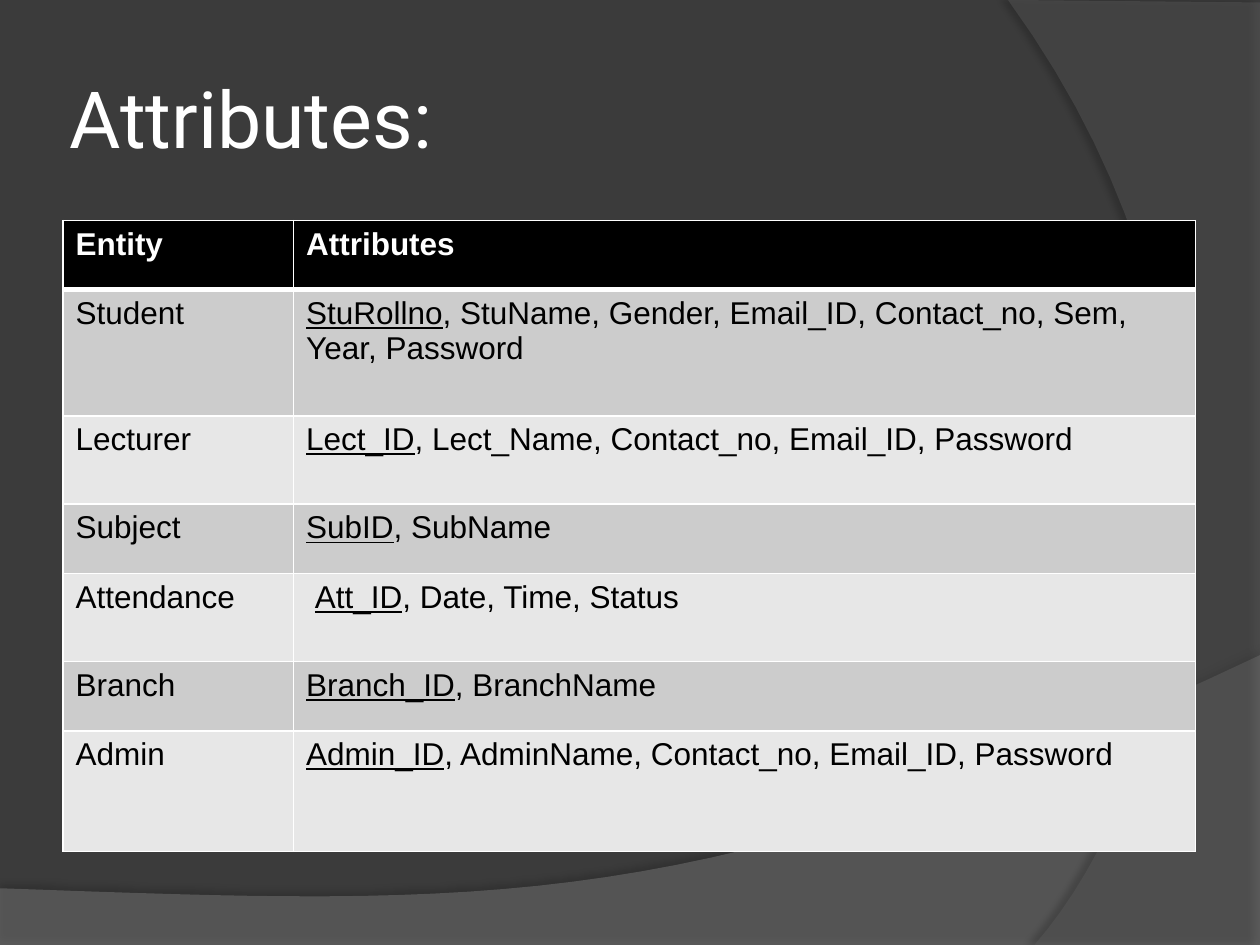
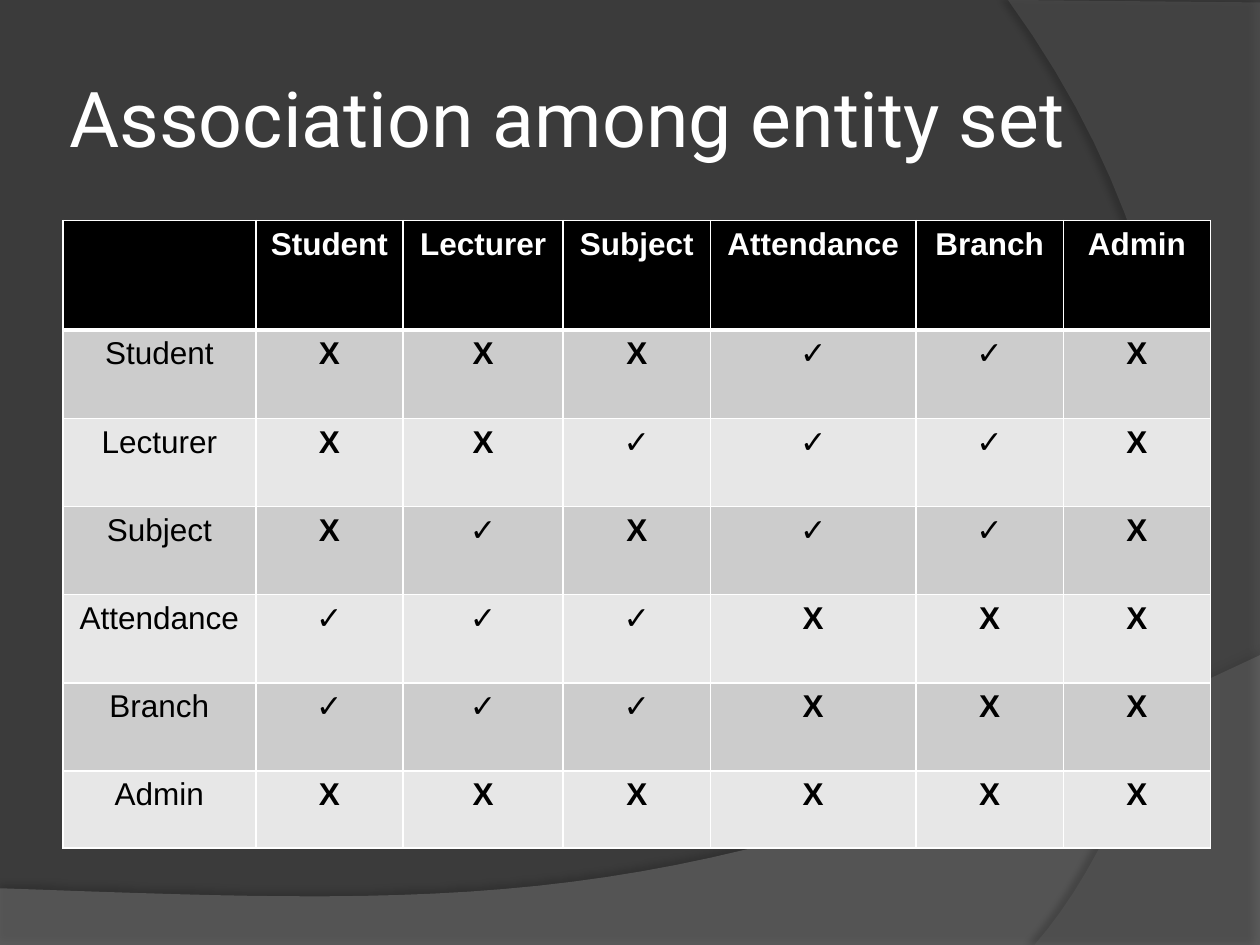
from dataclasses import dataclass

from lxml import etree
from pptx import Presentation
from pptx.dml.color import RGBColor
from pptx.enum.text import MSO_ANCHOR, MSO_AUTO_SIZE, PP_ALIGN
from pptx.oxml.ns import qn
from pptx.util import Inches, Pt

LEFT, CENTER = PP_ALIGN.LEFT, PP_ALIGN.CENTER
MIDDLE = MSO_ANCHOR.MIDDLE
NO_AUTOFIT = MSO_AUTO_SIZE.NONE
TITLE_ONLY = 5


@dataclass(frozen=True)
class Theme:
    background: str = "3B3B3B"
    lower_band: str = "7F7F7F"
    right_band: str = "5E5E5E"
    shadow: str = "000000"
    header: str = "000000"
    odd_row: str = "CCCCCC"
    even_row: str = "E7E7E7"
    light: str = "FFFFFF"
    dark: str = "000000"
    title_font: str = "Roboto"
    table_font: str = "Arial"
    table_size: int = 18
    grid_width: int = 1
    header_rule: int = 3


THEME = Theme()

# Each entity: key attribute, then the remaining attributes
ENTITIES = [
    ("Student", "StuRollno", ", StuName, Gender, Email_ID, Contact_no, Sem, Year, Password"),
    ("Lecturer", "Lect_ID", ", Lect_Name, Contact_no, Email_ID, Password"),
    ("Subject", "SubID", ", SubName"),
    ("Attendance", "Att_ID", ", Date, Time, Status"),
    ("Branch", "Branch_ID", ", BranchName"),
    ("Admin", "Admin_ID", ", AdminName, Contact_no, Email_ID, Password"),
]

# One mark per entity, in the order of ENTITIES
ASSOCIATIONS = ["XXX✓✓X", "XX✓✓✓X", "X✓X✓✓X", "✓✓✓XXX", "✓✓✓XXX", "XXXXXX"]


def rgb(color):
    return RGBColor.from_string(color)


def style_font(font, name, size, color, bold=False):
    font.name, font.size, font.bold = name, Pt(size), bold
    font.color.rgb = rgb(color)


def add_color(parent, color, opacity=100):
    """Append a colour element with its opacity in percent."""
    clr = etree.SubElement(parent, qn("a:srgbClr"), val=color)
    if opacity < 100:
        etree.SubElement(clr, qn("a:alpha"), val=str(opacity * 1000))


# Shared background
def curve(start, control1, control2, end, steps=32):
    """Points along a cubic curve, without its start."""
    points = []
    for step in range(1, steps + 1):
        t = step / steps
        weights = ((1 - t) ** 3, 3 * t * (1 - t) ** 2, 3 * t ** 2 * (1 - t), t ** 3)
        corners = (start, control1, control2, end)
        points.append(tuple(sum(w * c[axis] for w, c in zip(weights, corners))
                            for axis in (0, 1)))
    return points


def add_band(slide, layout, outline, color, opacity, shadow_opacity, distance, angle):
    """Draw a translucent band and place it on the layout, behind everything."""
    points = [(Inches(x), Inches(y)) for x, y in outline]
    builder = slide.shapes.build_freeform(*points[0], scale=1.0)
    builder.add_line_segments(points[1:], close=True)
    band = builder.convert_to_shape()
    band.fill.solid()
    band.fill.fore_color.rgb = rgb(color)
    band.line.fill.background()
    properties = band.element.spPr
    fill = properties.find(qn("a:solidFill"))
    fill.remove(fill[0])
    add_color(fill, color, opacity)
    effects = etree.SubElement(properties, qn("a:effectLst"))
    shadow = etree.SubElement(effects, qn("a:outerShdw"), blurRad=str(Pt(4)),
                              dist=str(Pt(distance)), dir=str(angle * 60000))
    add_color(shadow, THEME.shadow, shadow_opacity)
    tree = layout.shapes.element
    band.element.nvSpPr.cNvPr.set("id", str(100 + len(tree)))
    tree.insert(len(tree) - len(layout.placeholders), band.element)


def add_background(prs, slide, layout):
    background = prs.slide_master.background.fill
    background.solid()
    background.fore_color.rgb = rgb(THEME.background)
    lower = [(0, 7.05), (0, 7.5), (10, 7.5), (10, 5.2)]
    lower += curve((10, 5.2), (5.59, 7.29), (3.91, 7.19), (0, 7.05))
    right = [(10, 0.02), (10, 7.5), (8.21, 7.5)]
    right += curve((8.21, 7.5), (9.35, 6.19), (10.18, 3), (8, 0))
    add_band(slide, layout, lower, THEME.lower_band, 45, 35, 3.5, 270)
    add_band(slide, layout, right, THEME.right_band, 40, 45, 4, 180)


# Title
def set_title(slide, text, size):
    title = slide.shapes.title
    title.left, title.top = Inches(0.5), Inches(0.3)
    title.width, title.height = Inches(8.17), Inches(1.25)
    frame = title.text_frame
    frame.text = text
    frame.auto_size, frame.vertical_anchor = NO_AUTOFIT, MIDDLE
    frame.margin_left = frame.margin_right = Inches(0.05)
    frame.margin_top = frame.margin_bottom = Inches(0.05)
    heading = frame.paragraphs[0]
    heading.alignment = LEFT
    style_font(heading.font, THEME.title_font, size, THEME.light)


# Tables
def set_borders(cell, row):
    widths = {side: THEME.grid_width for side in ("lnL", "lnR", "lnT", "lnB")}
    if row == 0:
        widths["lnB"] = THEME.header_rule
    elif row == 1:
        widths["lnT"] = THEME.header_rule
    properties = cell._tc.get_or_add_tcPr()
    for side, width in widths.items():
        line = etree.SubElement(properties, qn(f"a:{side}"), w=str(Pt(width)))
        add_color(etree.SubElement(line, qn("a:solidFill")), THEME.light)


def fill_cell(cell, row, content, bold, alignment):
    """Content is a list of (text, underlined) runs."""
    set_borders(cell, row)
    cell.fill.solid()
    stripe = THEME.odd_row if row % 2 else THEME.even_row
    cell.fill.fore_color.rgb = rgb(stripe if row else THEME.header)
    paragraph = cell.text_frame.paragraphs[0]
    paragraph.alignment = alignment
    style_font(paragraph.font, THEME.table_font, THEME.table_size,
               THEME.dark if row else THEME.light, bold)
    for text, underlined in content:
        run = paragraph.add_run()
        run.text = text
        if underlined:
            run.font.underline = True


def add_entity_table(slide, rows, widths, heights, alignment, bold_marks=False):
    frame = slide.shapes.add_table(len(heights), len(widths), Inches(0.5), Inches(1.75),
                                   Inches(sum(widths)), Inches(sum(heights)))
    table = frame.table
    table.first_row = table.horz_banding = False
    for column, width in zip(table.columns, widths):
        column.width = Inches(width)
    for row, height in zip(table.rows, heights):
        row.height = Inches(height)
    for r, contents in enumerate(rows):
        for c, content in enumerate(contents):
            bold = r == 0 or (bold_marks and c > 0)
            fill_cell(table.cell(r, c), r, content, bold, alignment)


def plain(text):
    return [(text, False)] if text else []


def attribute_rows():
    rows = [[plain("Entity"), plain("Attributes")]]
    for entity, key, others in ENTITIES:
        lead = plain(" ") if entity == "Attendance" else []
        rows.append([plain(entity), lead + [(key, True), (others, False)]])
    return rows


def association_rows():
    names = [entity for entity, _, _ in ENTITIES]
    rows = [["", *names]]
    rows += [[name, *marks] for name, marks in zip(names, ASSOCIATIONS)]
    return [[plain(text) for text in row] for row in rows]


def main():
    prs = Presentation()
    prs.slide_width, prs.slide_height = Inches(10), Inches(7.5)
    layout = prs.slide_layouts[TITLE_ONLY]

    # Attributes of each entity
    attributes = prs.slides.add_slide(layout)
    add_background(prs, attributes, layout)
    set_title(attributes, "Attributes:", 45)
    add_entity_table(attributes, attribute_rows(), [1.83, 7.16],
                     [0.55, 1, 0.7, 0.55, 0.7, 0.55, 0.96], LEFT)

    # Which entities are associated
    associations = prs.slides.add_slide(layout)
    set_title(associations, "Association among entity set", 44)
    add_entity_table(associations, association_rows(),
                     [1.53, 1.17, 1.27, 1.17, 1.63, 1.17, 1.17],
                     [0.87] + [0.7] * 5 + [0.61], CENTER, bold_marks=True)

    prs.save("out.pptx")


if __name__ == "__main__":
    main()
